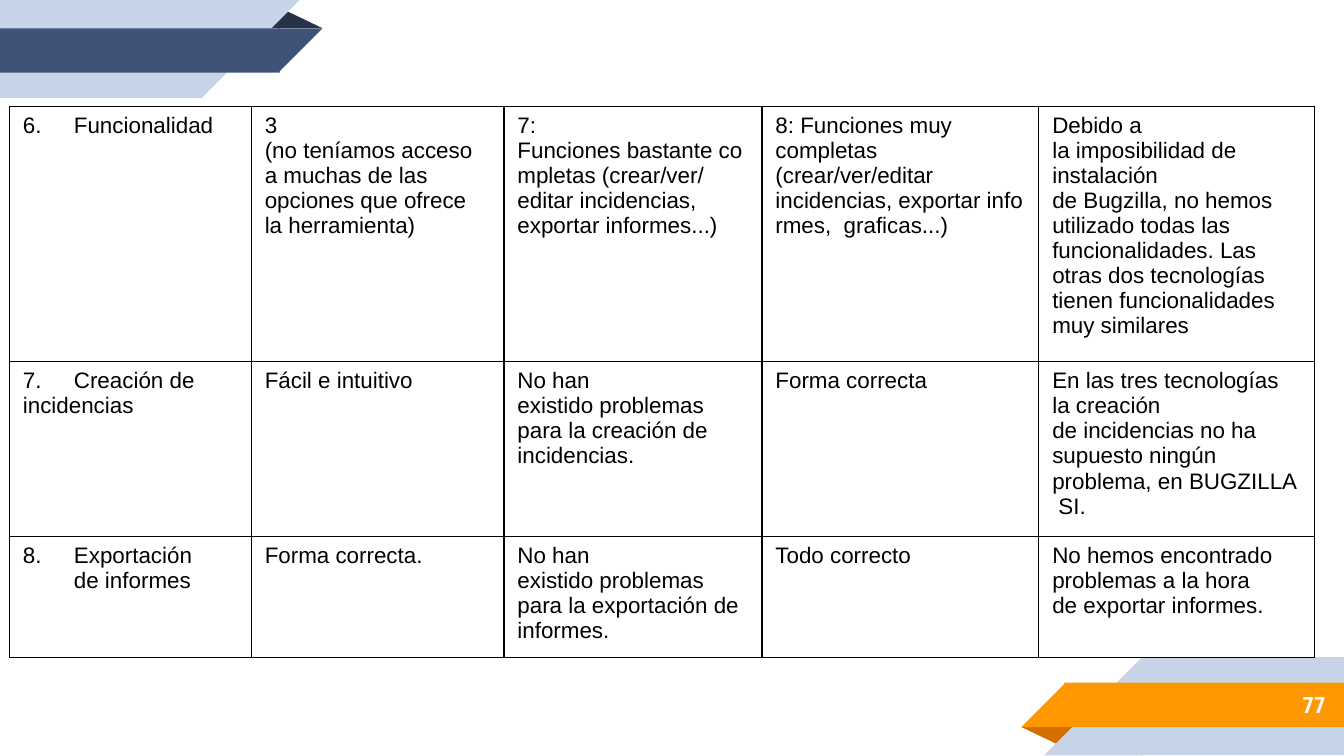
from lxml import etree
from pptx import Presentation
from pptx import util as u
from pptx.dml.color import RGBColor
from pptx.enum import shapes, text
from pptx.oxml import ns

BLACK = RGBColor(0x00, 0x00, 0x00)
WHITE = RGBColor(0xFF, 0xFF, 0xFF)
PALE_BLUE = RGBColor(0xC7, 0xD3, 0xE6)
NAVY = RGBColor(0x3F, 0x53, 0x78)
DARK_NAVY = RGBColor(0x26, 0x32, 0x48)
ORANGE = RGBColor(0xFF, 0x98, 0x00)
DARK_ORANGE = RGBColor(0xD2, 0x6F, 0x00)

HARD_SPACE_MARK = "_"
HARD_SPACE = chr(160)
COLUMN_WIDTHS = (1.8, 1.88, 1.92, 2.06, 2.05)
ROW_HEIGHTS = (1.54, 0, 0)
FIRST_NUMBER = 6
ROWS = (
    (
        ("Funcionalidad_",),
        ("3 (no_teníamos_acceso_a_muchas_de_las_", "opciones_que_ofrece_", "la_herramienta)"),
        ("7: Funciones_bastante_completas_(crear/ver/", "editar_incidencias, exportar_informes...)"),
        ("8:_Funciones_muy_\ncompletas",
         "(crear/ver/editar_ incidencias,_exportar_informes,_ graficas...)"),
        ("Debido a la_imposibilidad_de_", "instalación de_Bugzilla,_no_hemos_",
         "utilizado_todas_las",
         "funcionalidades. Las otras dos tecnologías tienen funcionalidades muy similares"),
    ),
    (
        ("Creación_de_ _", "incidencias_"),
        ("Fácil e_intuitivo",),
        ("No han existido_problemas para_la_creación de incidencias._",),
        ("Forma correcta_",),
        ("En_las_tres_tecnologías la creación de_incidencias_no_ha_ supuesto_ningún__",
         "problema,_en_BUGZILLA_SI."),
    ),
    (
        ("Exportación_ de_informes_",),
        ("Forma_correcta.",),
        ("No han existido_problemas para_la_exportación de informes._",),
        ("Todo correcto_",),
        ("No hemos_encontrado_", "problemas a_la hora de_exportar_informes."),
    ),
)


def write(frame, paragraphs, font="Arial", size=12, color=BLACK, bold=False, align=None, number=None):
    """Fill a text frame with paragraphs, numbering the first one if asked."""
    frame.word_wrap = True
    for index, words in enumerate(paragraphs):
        paragraph = frame.paragraphs[0] if index == 0 else frame.add_paragraph()
        paragraph.text = words.replace(HARD_SPACE_MARK, HARD_SPACE)
        if align is not None:
            paragraph.alignment = align
        if number is not None and index == 0:
            add_number(paragraph, number)
        for run in paragraph.runs:
            run.font.name = font
            run.font.size = u.Pt(size)
            run.font.bold = bold
            run.font.color.rgb = color


def add_number(paragraph, number):
    """Give a paragraph a hanging automatic number."""
    properties = paragraph._p.get_or_add_pPr()
    indent = u.Inches(0.38)
    properties.set("marL", str(indent))
    properties.set("indent", str(-indent))
    bullet_color = etree.SubElement(properties, ns.qn("a:buClr"))
    etree.SubElement(bullet_color, ns.qn("a:srgbClr"), val=str(BLACK))
    etree.SubElement(properties, ns.qn("a:buAutoNum"), type="arabicPeriod", startAt=str(number))


def add_borders(cell, width=0.75):
    """Draw a thin black line on every side of a cell."""
    properties = cell._tc.get_or_add_tcPr()
    for index, side in enumerate(("lnL", "lnR", "lnT", "lnB")):
        line = etree.Element(ns.qn("a:" + side), w=str(u.Pt(width)))
        fill = etree.SubElement(line, ns.qn("a:solidFill"))
        etree.SubElement(fill, ns.qn("a:srgbClr"), val=str(BLACK))
        properties.insert(index, line)


def add_ribbon(slide, left, top, width, height, band_color, fold_color, turned=False):
    """Build a folded corner ribbon in its box, optionally turned half round."""
    kinds = shapes.MSO_SHAPE
    band = 0.33
    parts = (
        (kinds.ISOSCELES_TRIANGLE, 0, 0.52, 0.43, 0.14, fold_color),
        (kinds.RECTANGLE, 0.89, 0, width - 0.89, height, PALE_BLUE),
        (kinds.RIGHT_TRIANGLE, 0.17, 0, height, height, PALE_BLUE),
        (kinds.RECTANGLE, 0.32, 0.19, width - 0.32, band, band_color),
        (kinds.RIGHT_TRIANGLE, 0, 0.19, band, band, band_color),
    )
    group = slide.shapes.add_group_shape()
    for kind, x, y, part_width, part_height, color in parts:
        if turned:
            x, y = width - x - part_width, height - y - part_height
        shape = group.shapes.add_shape(
            kind, *map(u.Inches, (left + x, top + y, part_width, part_height)))
        is_fold = kind == kinds.ISOSCELES_TRIANGLE
        shape.rotation = 180 if is_fold != turned else 0
        if is_fold:
            shape.adjustments[0] = 0.32
        else:
            shape._element.spPr.find(ns.qn("a:xfrm")).set("flipH", "1")
        shape.shadow.inherit = False
        shape.fill.solid()
        shape.fill.fore_color.rgb = color
        shape.line.fill.background()


def add_page_number(slide, left, top, width, height, number):
    """Place the page number at the right of its box."""
    frame = slide.shapes.add_textbox(*map(u.Inches, (left, top, width, height))).text_frame
    frame.margin_left = frame.margin_right = frame.margin_top = frame.margin_bottom = u.Inches(0.1)
    frame.vertical_anchor = text.MSO_ANCHOR.MIDDLE
    write(frame, (number,), font="Roboto Condensed", color=WHITE, bold=True, align=text.PP_ALIGN.RIGHT)


def add_comparison(slide, left, top, height):
    """Build the comparison table in its box, with rows that grow to their text."""
    box = (left, top, sum(COLUMN_WIDTHS), height)
    graphic_frame = slide.shapes.add_table(len(ROWS), len(COLUMN_WIDTHS), *map(u.Inches, box))
    table = graphic_frame.table
    table.first_row = table.horz_banding = False
    for column, width in zip(table.columns, COLUMN_WIDTHS):
        column.width = u.Inches(width)
    for row_index, (row, row_height) in enumerate(zip(ROWS, ROW_HEIGHTS)):
        table.rows[row_index].height = u.Inches(row_height)
        for column_index, paragraphs in enumerate(row):
            cell = table.cell(row_index, column_index)
            cell.fill.background()
            add_borders(cell)
            number = FIRST_NUMBER + row_index if column_index == 0 else None
            write(cell.text_frame, paragraphs, number=number)
    graphic_frame.height = u.Inches(height)


def main():
    """Build and save the slide."""
    presentation = Presentation()
    presentation.slide_width = u.Inches(10)
    presentation.slide_height = presentation.slide_width * 9 // 16
    slide = presentation.slides.add_slide(presentation.slide_layouts[6])
    add_ribbon(slide, 7.6, 4.89, 2.4, 0.73, ORANGE, DARK_ORANGE)
    add_ribbon(slide, 0, 0, 2.4, 0.73, NAVY, DARK_NAVY, turned=True)
    add_page_number(slide, 8.33, 5.07, 1.63, 0.35, "77")
    add_comparison(slide, 0.07, 0.79, 4.1)
    presentation.save("out.pptx")


if __name__ == "__main__":
    main()
